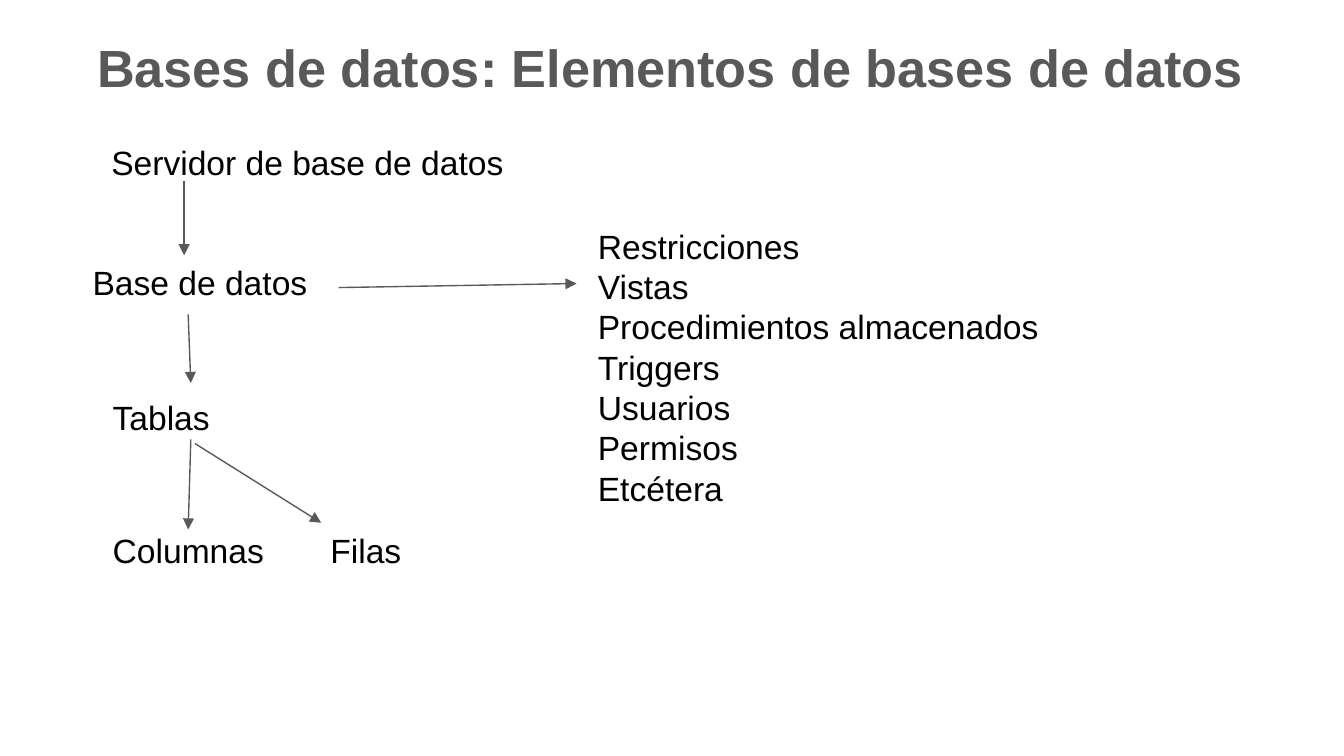
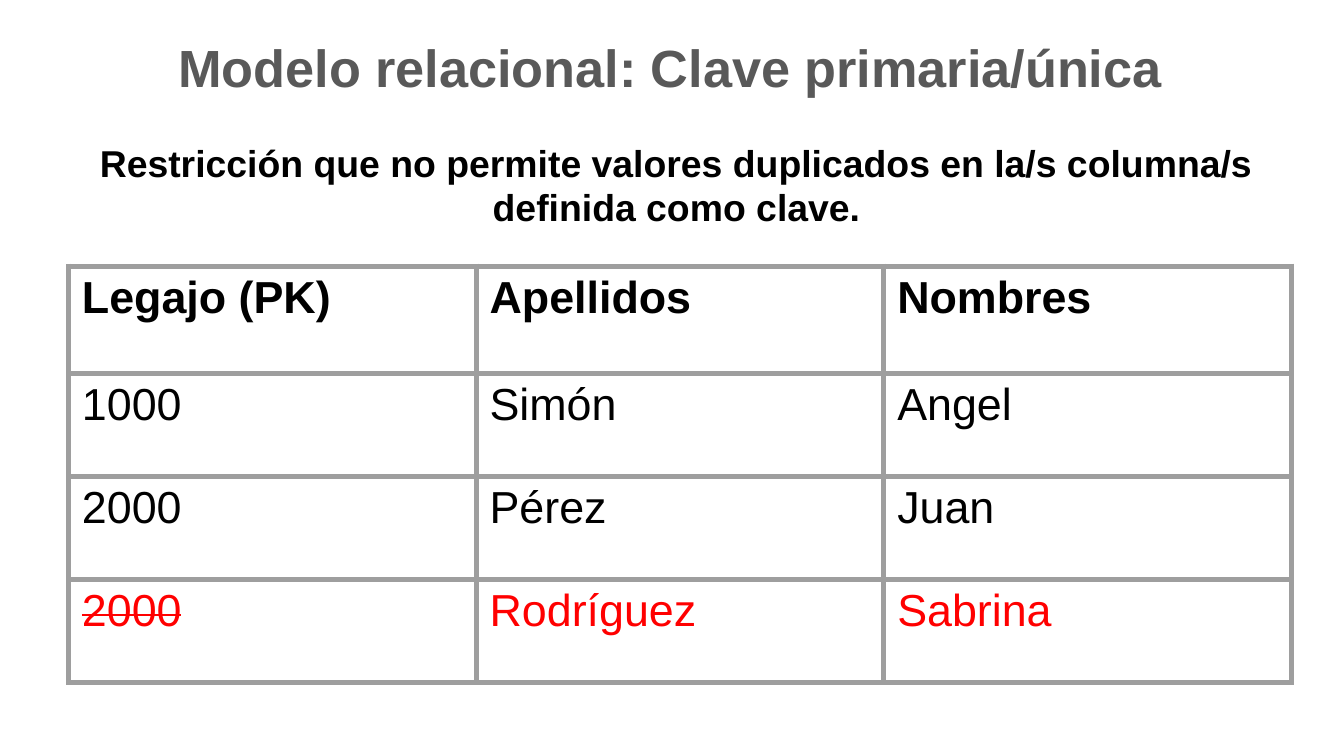
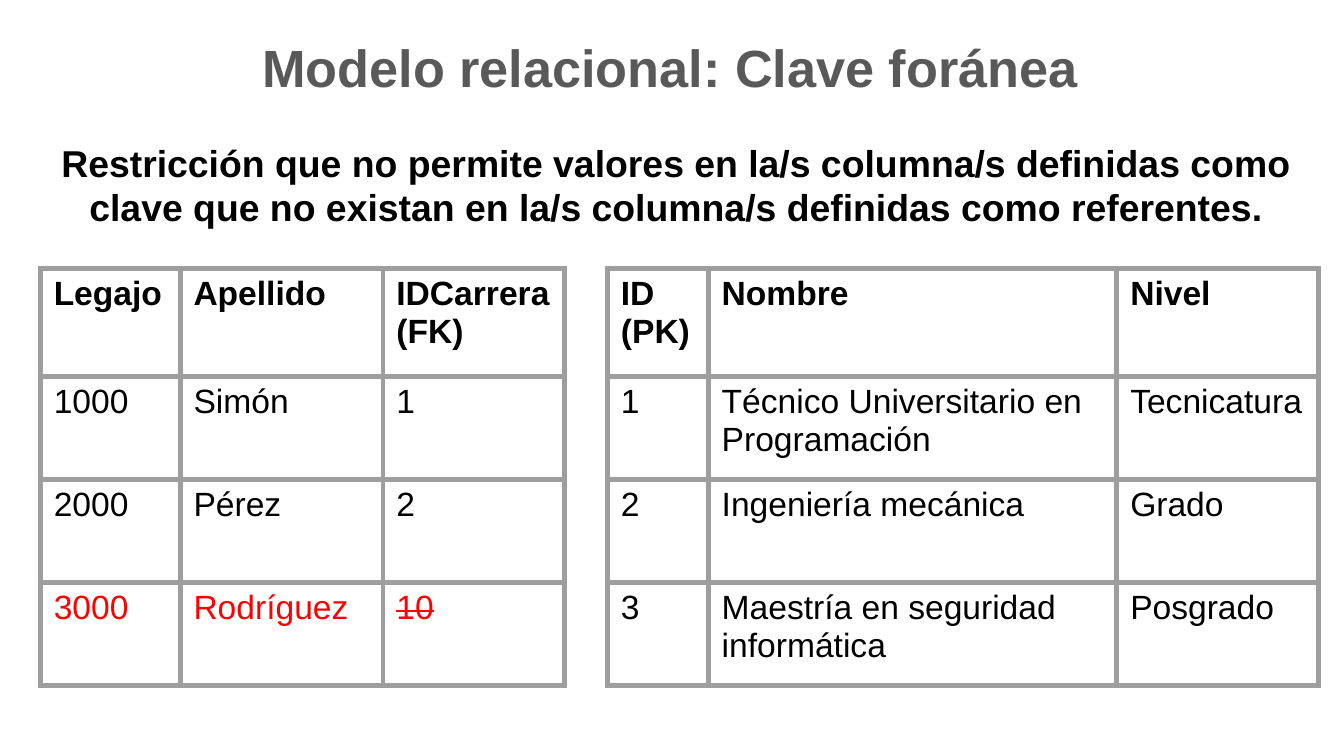
from lxml.etree import SubElement
from pptx import Presentation
from pptx.dml.color import RGBColor
from pptx.enum.shapes import MSO_CONNECTOR
from pptx.enum.text import MSO_ANCHOR, MSO_AUTO_SIZE, PP_ALIGN
from pptx.oxml.ns import qn
from pptx.util import Inches, Pt

BLACK = RGBColor(0x00, 0x00, 0x00)
GRAY = RGBColor(0x59, 0x59, 0x59)
RED = RGBColor(0xFF, 0x00, 0x00)
BORDER = RGBColor(0x9E, 0x9E, 0x9E)
FONT = "Arial"
SLIDE_WIDTH = 10
SLIDE_HEIGHT = SLIDE_WIDTH * 9 / 16
TITLE_BOX = (0.2, 0.16, 9.57, 0.87)
DEFINITION_BOX = (0.3, 0.94, 9.47, 0.87)
TABLE_HEIGHT = 3.1
HEADER_HEIGHT = 0.8


def format_runs(paragraph, size, color=BLACK, bold=False):
    for run in paragraph.runs:
        run.font.name = FONT
        run.font.size = Pt(size)
        run.font.color.rgb = color
        run.font.bold = bold


def format_frame(text_frame, size, color=BLACK, bold=False, align=PP_ALIGN.LEFT):
    text_frame.word_wrap = True
    text_frame.auto_size = MSO_AUTO_SIZE.NONE
    text_frame.vertical_anchor = MSO_ANCHOR.TOP
    text_frame.margin_left = text_frame.margin_right = Inches(0.1)
    text_frame.margin_top = text_frame.margin_bottom = Inches(0.1)
    for paragraph in text_frame.paragraphs:
        paragraph.alignment = align
        paragraph.line_spacing = 1.0
        format_runs(paragraph, size, color, bold)


def add_titled_slide(presentation, title):
    slide = presentation.slides.add_slide(presentation.slide_layouts[5])
    shape = slide.shapes.title
    shape.left, shape.top, shape.width, shape.height = map(Inches, TITLE_BOX)
    shape.text_frame.text = title
    format_frame(shape.text_frame, 28, GRAY, True, PP_ALIGN.CENTER)
    return slide


def add_text(slide, box, text, size=18, bold=False, align=PP_ALIGN.LEFT):
    shape = slide.shapes.add_textbox(*map(Inches, box))
    shape.text_frame.text = text
    format_frame(shape.text_frame, size, bold=bold, align=align)


def add_definition(slide, text):
    add_text(slide, DEFINITION_BOX, text, 20, True, PP_ALIGN.CENTER)


def add_arrow(slide, start, end):
    connector = slide.shapes.add_connector(
        MSO_CONNECTOR.STRAIGHT, *map(Inches, start + end))
    connector.line.color.rgb = GRAY
    connector.line.width = Pt(0.75)
    properties = connector.element.spPr
    SubElement(properties.find(qn("a:ln")), qn("a:tailEnd"), type="triangle")
    SubElement(properties, qn("a:effectLst"))


def add_cell_borders(cell):
    properties = cell._tc.get_or_add_tcPr()
    for side in ("lnL", "lnR", "lnT", "lnB"):
        line = SubElement(properties, qn(f"a:{side}"), w=str(Pt(3)))
        fill = SubElement(line, qn("a:solidFill"))
        SubElement(fill, qn("a:srgbClr"), val=str(BORDER))


def add_data_table(slide, left, top, widths, rows, size, rejected=None):
    row_height = (TABLE_HEIGHT - HEADER_HEIGHT) / (len(rows) - 1)
    frame = slide.shapes.add_table(
        len(rows), len(widths),
        *map(Inches, (left, top, sum(widths), TABLE_HEIGHT)))
    table = frame.table
    table.first_row = table.horz_banding = False
    for column, width in zip(table.columns, widths):
        column.width = Inches(width)
    for row_index, values in enumerate(rows):
        is_header = row_index == 0
        table.rows[row_index].height = Inches(
            HEADER_HEIGHT if is_header else row_height)
        is_rejected = rejected is not None and row_index == rejected[0]
        for column_index, value in enumerate(values):
            cell = table.cell(row_index, column_index)
            cell.text_frame.text = value
            paragraph = cell.text_frame.paragraphs[0]
            format_runs(paragraph, size, RED if is_rejected else BLACK, is_header)
            if (row_index, column_index) == rejected:
                paragraph.runs[0]._r.get_or_add_rPr().set("strike", "sngStrike")
            add_cell_borders(cell)
            cell.fill.background()


def build_elements_slide(presentation):
    slide = add_titled_slide(
        presentation, "Bases de datos: Elementos de bases de datos")
    elements = [
        ("Servidor de base de datos", (0.73, 0.96, 3.49, 0.53)),
        ("Base de datos", (0.59, 1.85, 2.19, 0.42)),
        ("Tablas", (0.74, 2.85, 1.36, 0.42)),
        ("Columnas", (0.74, 3.84, 1.68, 0.34)),
        ("Filas", (2.36, 3.84, 1.13, 0.81)),
        ("Restricciones\nVistas\nProcedimientos almacenados\nTriggers\n"
         "Usuarios\nPermisos\nEtcétera", (4.35, 1.58, 4.55, 2.36)),
    ]
    for text, box in elements:
        add_text(slide, box, text)
    arrows = [
        ((1.37, 1.35), (1.37, 1.9)),
        ((1.4, 2.34), (1.42, 2.85)),
        ((1.42, 3.27), (1.4, 3.94)),
        ((1.45, 3.3), (2.39, 3.89)),
        ((2.52, 2.14), (4.29, 2.11)),
    ]
    for start, end in arrows:
        add_arrow(slide, start, end)


def build_primary_key_slide(presentation):
    slide = add_titled_slide(
        presentation, "Modelo relacional: Clave primaria/única")
    add_definition(slide, "Restricción que no permite valores duplicados en "
                          "la/s columna/s definida como clave.")
    students = [
        ("Legajo (PK)", "Apellidos", "Nombres"),
        ("1000", "Simón", "Angel"),
        ("2000", "Pérez", "Juan"),
        ("2000", "Rodríguez", "Sabrina"),
    ]
    add_data_table(slide, 0.51, 1.98, [9.1 / 3] * 3, students, 24, rejected=(3, 0))


def build_foreign_key_slide(presentation):
    slide = add_titled_slide(presentation, "Modelo relacional: Clave foránea")
    add_definition(slide, "Restricción que no permite valores en la/s columna/s "
                          "definidas como clave que no existan en la/s "
                          "columna/s definidas como referentes.")
    students = [
        ("Legajo", "Apellido", "IDCarrera (FK)"),
        ("1000", "Simón", "1"),
        ("2000", "Pérez", "2"),
        ("3000", "Rodríguez", "10"),
    ]
    degrees = [
        ("ID (PK)", "Nombre", "Nivel"),
        ("1", "Técnico Universitario en Programación", "Tecnicatura"),
        ("2", "Ingeniería mecánica", "Grado"),
        ("3", "Maestría en seguridad informática", "Posgrado"),
    ]
    add_data_table(slide, 0.3, 2, [1.04, 1.51, 1.35], students, 18, rejected=(3, 2))
    add_data_table(slide, 4.52, 2, [0.75, 3.04, 1.5], degrees, 18)


def main():
    presentation = Presentation()
    presentation.slide_width = Inches(SLIDE_WIDTH)
    presentation.slide_height = Inches(SLIDE_HEIGHT)
    build_elements_slide(presentation)
    build_primary_key_slide(presentation)
    build_foreign_key_slide(presentation)
    presentation.save("out.pptx")


if __name__ == "__main__":
    main()
